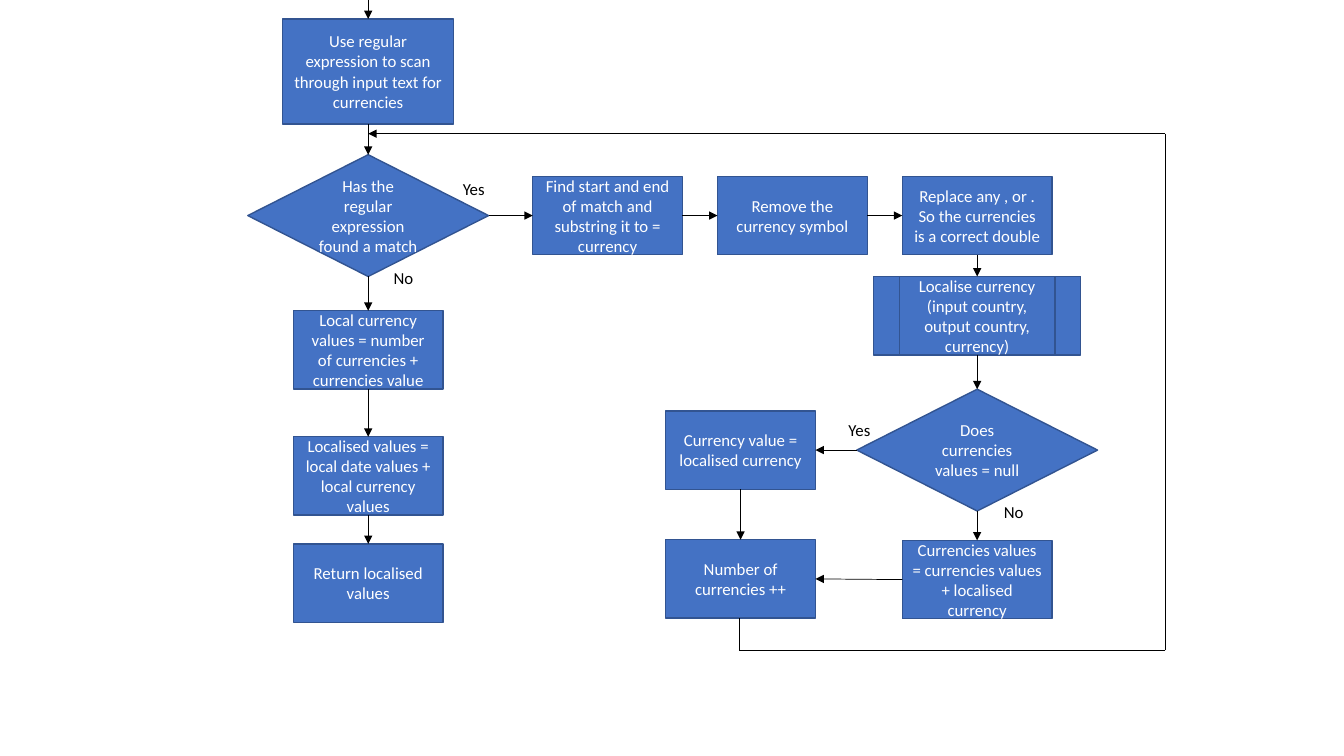
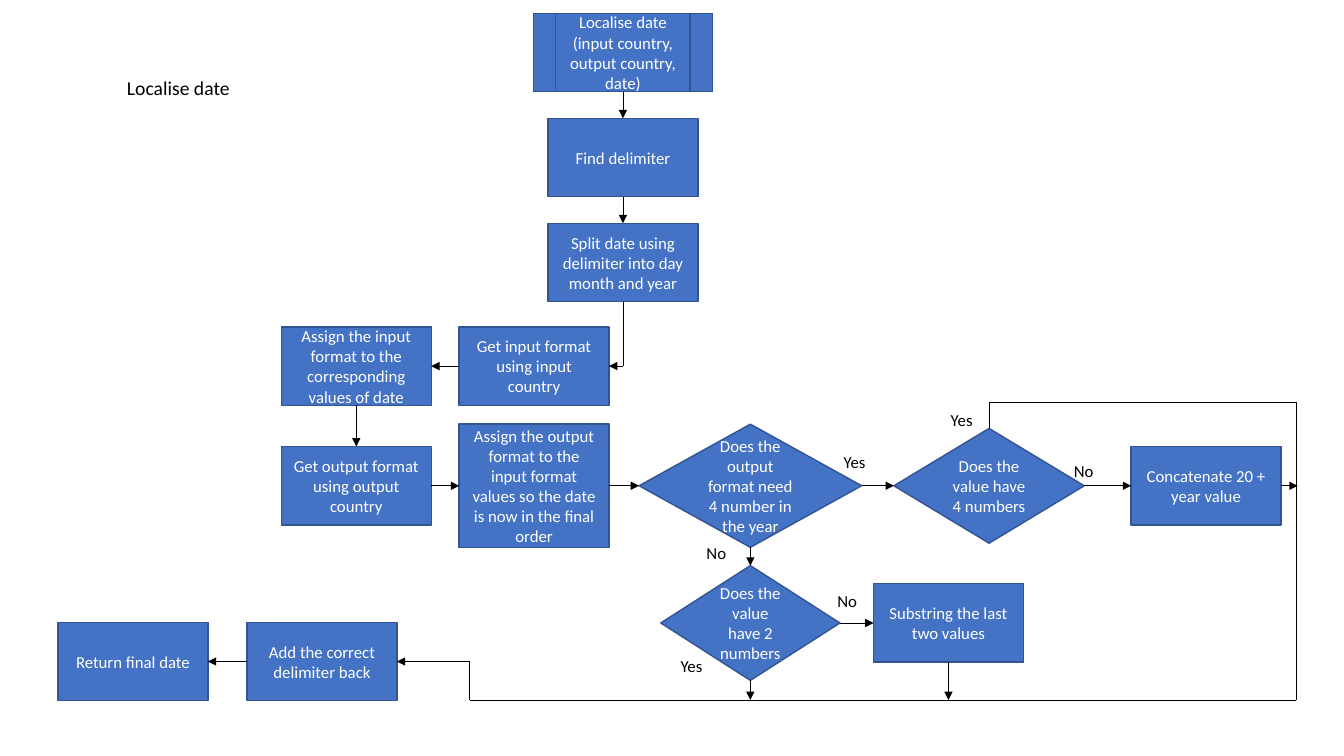
import lxml.etree
import pptx
import pptx.dml.color
import pptx.enum.shapes
import pptx.enum.text
import pptx.oxml.ns
import pptx.util

Pt = pptx.util.Pt
qn = pptx.oxml.ns.qn
KINDS = pptx.enum.shapes.MSO_SHAPE
ALIGN = pptx.enum.text.PP_ALIGN
FIT = pptx.enum.text.MSO_AUTO_SIZE
MIDDLE = pptx.enum.text.MSO_ANCHOR.MIDDLE
STRAIGHT = pptx.enum.shapes.MSO_CONNECTOR.STRAIGHT

# Shared look
FILL, EDGE, WHITE, BLACK = "4472C4", "325491", "FFFFFF", "000000"
BOX = (107, 56)
FONT = {"name": "Calibri", "size": Pt(12)}
TITLE_FONT = {"name": "Calibri", "size": Pt(14)}
SITES = {"top": 0, "left": 1, "bottom": 2, "right": 3}


def rgb(value):
    return pptx.dml.color.RGBColor.from_string(value)


def write(tf, text, color, align=ALIGN.LEFT, font=FONT):
    tf.word_wrap = True
    p = tf.paragraphs[0]
    p.alignment = align
    r = p.add_run()
    r.text = text
    for name, value in font.items():
        setattr(r.font, name, value)
    r.font.color.rgb = rgb(color)
    return p


# Flowchart nodes, placed by their centre
def node(s, text, x, y, size=BOX, kind=KINDS.FLOWCHART_PROCESS):
    w, h = size
    sp = s.shapes.add_shape(kind, Pt(x - w / 2), Pt(y - h / 2), Pt(w), Pt(h))
    sp.shadow.inherit = False
    sp.fill.solid()
    sp.fill.fore_color.rgb = rgb(FILL)
    sp.line.color.rgb = rgb(EDGE)
    sp.line.width = Pt(1)
    sp.text_frame.vertical_anchor = MIDDLE
    write(sp.text_frame, text, WHITE, ALIGN.CENTER)
    return sp


def decision(s, text, x, y, size):
    return node(s, text, x, y, size, KINDS.FLOWCHART_DECISION)


def subroutine(s, text, x, y, size):
    return node(s, text, x, y, size, KINDS.FLOWCHART_PREDEFINED_PROCESS)


def label(s, text, left, top):
    tf = s.shapes.add_textbox(Pt(left), Pt(top), Pt(49), Pt(21.8)).text_frame
    write(tf, text, BLACK)
    tf.auto_size = FIT.SHAPE_TO_FIT_TEXT


# Lines and arrows
def line(s, start, end, arrow=True):
    c = s.shapes.add_connector(STRAIGHT, *(Pt(v) for v in (*start, *end)))
    c.line.color.rgb = rgb(BLACK)
    c.line.width = Pt(0.5)
    props = c._element.spPr
    if arrow:
        lxml.etree.SubElement(props.find(qn("a:ln")), qn("a:tailEnd"), type="triangle")
    lxml.etree.SubElement(props, qn("a:effectLst"))
    return c


def route(s, *points):
    last = len(points) - 2
    for i, (start, end) in enumerate(zip(points, points[1:])):
        line(s, start, end, arrow=i == last)


def link(s, a, b, leave="bottom", enter="top"):
    c = line(s, (0, 0), (0, 0))
    c.begin_connect(a, SITES[leave])
    c.end_connect(b, SITES[enter])


def chain(s, nodes, leave="bottom", enter="top"):
    for a, b in zip(nodes, nodes[1:]):
        link(s, a, b, leave, enter)


def currency_slide(prs):
    s = prs.slides.add_slide(prs.slide_layouts[6])
    left_x, count_x, right_x = 263, 529, 698
    match_y, null_y = 154, 321.5

    # Left column: scan, test, return
    scan = node(s, "Use regular expression to scan through input text for currencies",
                left_x, 51, (122, 75))
    match = decision(s, "Has the regular expression found a match", left_x, match_y, (172, 87))
    local = node(s, "Local currency values = number of currencies + currencies value",
                 left_x, 250)
    localised = node(s, "Localised values = local date values + local currency values",
                     left_x, 340)
    result = node(s, "Return localised values", left_x, 416.5)
    line(s, (left_x, 0), (left_x, 13.5))
    chain(s, [scan, match, local, localised, result])

    # Row that cleans up a match
    steps = ["Find start and end of match and substring it to = currency",
             "Remove the currency symbol",
             "Replace any , or . So the currencies is a correct double"]
    row = [node(s, text, right_x - 132 * (2 - i), match_y) for i, text in enumerate(steps)]
    chain(s, [match, *row], "right", "left")

    # Right column: localise and collect
    localise = subroutine(s, "Localise currency (input country, output country, currency)",
                          right_x, 225.5, (148, 56))
    null = decision(s, "Does currencies values = null", right_x, null_y, (172, 87))
    append = node(s, "Currencies values = currencies values + localised currency",
                  right_x, 414)
    chain(s, [row[-1], localise, null, append])
    first = node(s, "Currency value = localised currency", count_x, null_y)
    count = node(s, "Number of currencies ++", count_x, 413.5)
    link(s, null, first, "left", "right")
    link(s, first, count)
    link(s, append, count, "left", "right")

    # Loop back to the test
    route(s, (528, 441.5), (528, 464.5), (832.5, 464.5), (832.5, 95.5), (left_x, 95.5))

    for text, x, y in [("Yes", 323.5, 124), ("No", 274, 187.5),
                       ("Yes", 599, 296.5), ("No", 710, 354.5)]:
        label(s, text, x, y)


def date_slide(prs):
    s = prs.slides.add_slide(prs.slide_layouts[5])
    title = s.shapes.title
    for name, value in dict(left=83.5, top=37.5, width=121.5, height=52).items():
        setattr(title, name, Pt(value))
    title.text_frame.vertical_anchor = MIDDLE
    title.text_frame.auto_size = FIT.NONE
    write(title.text_frame, "Localise date", BLACK, font=TITLE_FONT).line_spacing = 0.9

    top_x, format_x, output_x, year_x, four_x = 445, 254.5, 381.5, 536, 706.5
    input_y, output_y, two_y, end_y = 261.5, 347, 445, 472.5
    exit_x, exit_y = 926, 500

    # Split the date
    localise = subroutine(s, "Localise date (input country, output country, date)",
                          top_x, 37.5, (128, 56))
    find = node(s, "Find delimiter", top_x, 112.5)
    split = node(s, "Split date using delimiter into day month and year", top_x, 187.5)
    chain(s, [localise, find, split])

    # Match input and output formats
    get_input = node(s, "Get input format using input country", output_x, input_y)
    assign_input = node(s, "Assign the input format to the corresponding values of date",
                        format_x, input_y)
    get_output = node(s, "Get output format using output country", format_x, output_y)
    assign_output = node(s, "Assign the output format to the input format values so the "
                         "date is now in the final order", output_x, output_y, (107, 88))
    route(s, (top_x, 215.5), (top_x, input_y), (435, input_y))
    link(s, get_input, assign_input, "left", "right")
    link(s, assign_input, get_output)

    # Fix the length of the year
    year = decision(s, "Does the output format need 4 number in the year",
                    year_x, output_y, (159, 88))
    four = decision(s, "Does the value have 4 numbers", four_x, output_y, (136, 82))
    concat = node(s, "Concatenate 20 + year value", 861.5, output_y)
    two = decision(s, "Does the value have 2 numbers", year_x, two_y, (128, 82))
    substring = node(s, "Substring the last two values", 677.5, two_y)
    chain(s, [get_output, assign_output, year, four, concat], "right", "left")
    link(s, year, two)
    link(s, two, substring, "right", "left")

    # Put the date together again
    add_back = node(s, "Add the correct delimiter back", 230, end_y)
    result = node(s, "Return final date", 95, end_y)
    link(s, add_back, result, "left", "right")
    route(s, (four_x, 306), (four_x, 287.5), (exit_x, 287.5), (exit_x, exit_y),
          (335.5, exit_y), (335.5, end_y), (283.5, end_y))
    line(s, (677.5, 473), (677.5, exit_y))
    line(s, (year_x, 486), (year_x, exit_y))
    line(s, (915, output_y), (927, output_y))

    for text, x, y in [("No", 760, 325.5), ("Yes", 672, 289), ("No", 591, 418.5),
                       ("No", 497.5, 384), ("Yes", 479, 464.5), ("Yes", 595.5, 319)]:
        label(s, text, x, y)


def main():
    prs = pptx.Presentation()
    prs.slide_width, prs.slide_height = Pt(960), Pt(540)
    currency_slide(prs)
    date_slide(prs)
    prs.save("out.pptx")


main()
